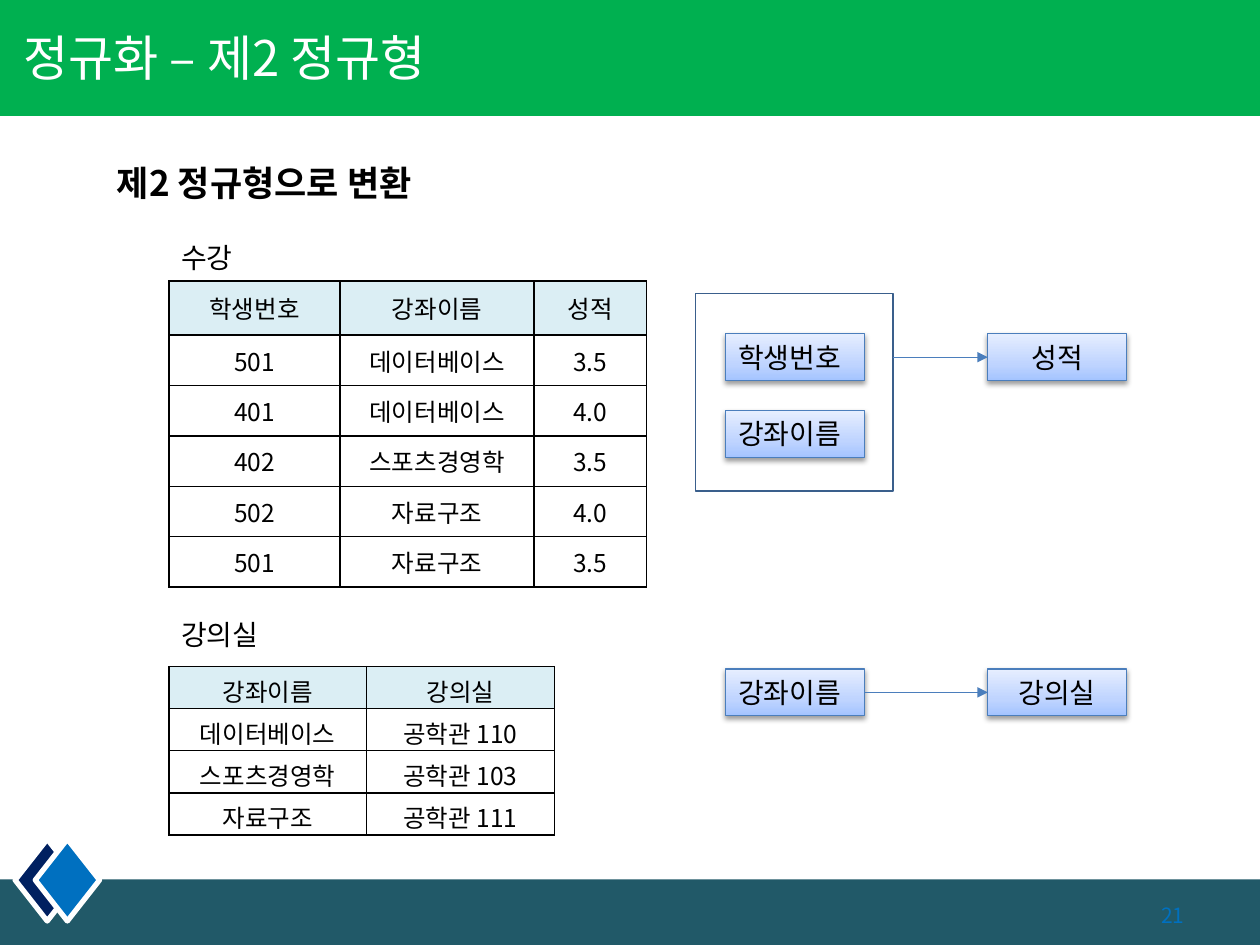
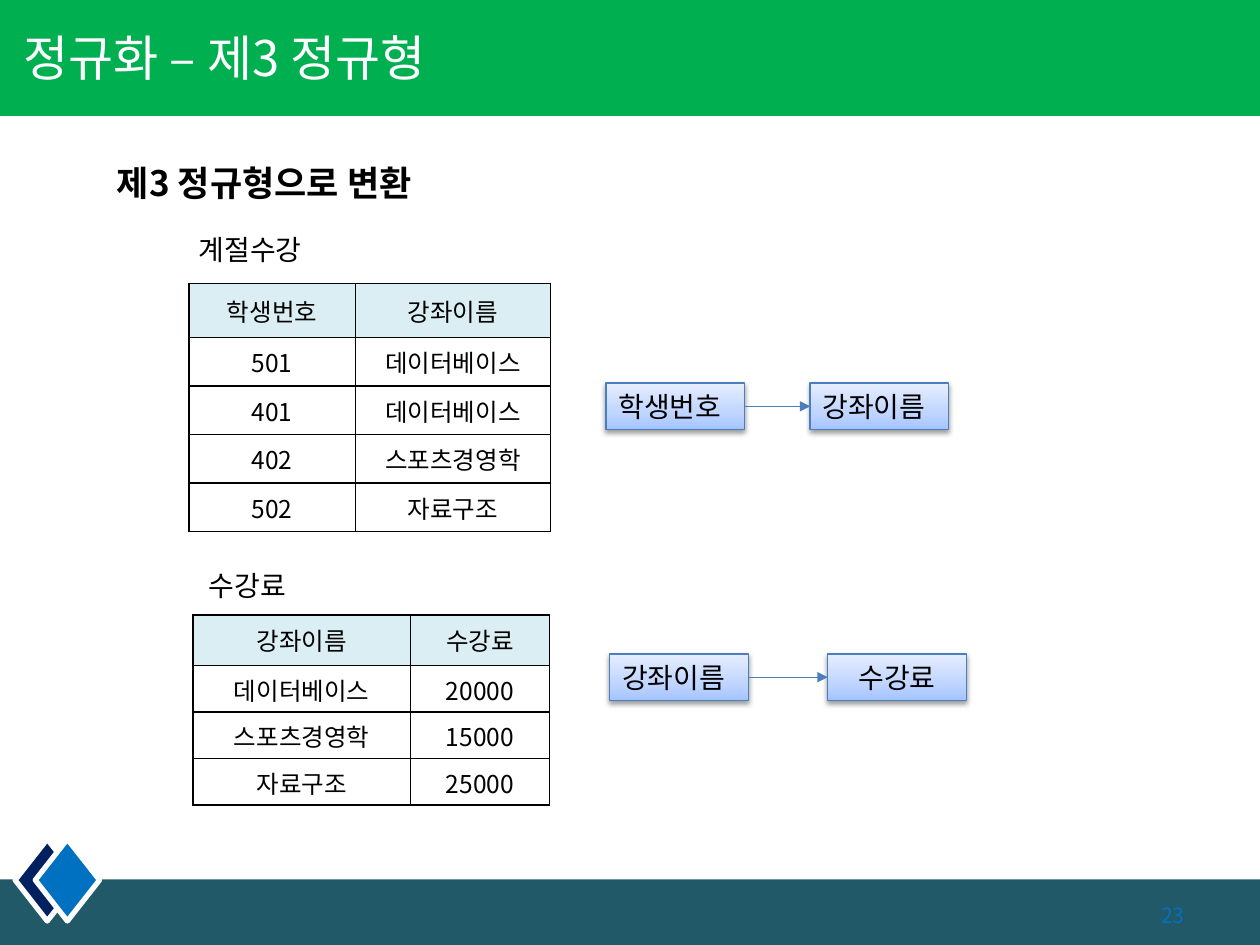
from dataclasses import dataclass
from typing import Optional

from pptx import Presentation
from pptx.dml.color import RGBColor
from pptx.enum.shapes import MSO_CONNECTOR, MSO_SHAPE
from pptx.enum.text import MSO_ANCHOR, MSO_AUTO_SIZE, PP_ALIGN
from pptx.oxml import parse_xml
from pptx.oxml.ns import nsdecls, qn
from pptx.util import Inches, Pt

RECTANGLE, DIAMOND = MSO_SHAPE.RECTANGLE, MSO_SHAPE.DIAMOND
STRAIGHT = MSO_CONNECTOR.STRAIGHT
LEFT, CENTER, RIGHT = PP_ALIGN.LEFT, PP_ALIGN.CENTER, PP_ALIGN.RIGHT
TOP, MIDDLE = MSO_ANCHOR.TOP, MSO_ANCHOR.MIDDLE
NO_FIT, GROW = MSO_AUTO_SIZE.NONE, MSO_AUTO_SIZE.SHAPE_TO_FIT_TEXT

TITLE_ONLY_LAYOUT = 5
NODE_WIDTH, NODE_HEIGHT = 1.1, 0.37


@dataclass(frozen=True)
class Theme:
    font: str = "Noto Sans CJK KR"
    text: str = "000000"
    white: str = "FFFFFF"
    title_band: str = "00B050"
    footer_band: str = "215968"
    navy: str = "002060"
    blue: str = "0070C0"
    header_fill: str = "DBEEF4"
    table_line: str = "000000"
    node_line: str = "4B7EBC"
    frame_line: str = "3A5F8C"
    node_stops: tuple = ((0, "A4C4FF"), (35, "BFD4FF"), (100, "E6EEFF"))
    title_size: int = 28
    heading_size: int = 20
    label_size: int = 16
    cell_size: int = 14
    number_size: int = 12


THEME = Theme()


@dataclass(frozen=True)
class Area:
    left: float
    top: float
    width: float
    height: float

    def emu(self) -> tuple:
        return tuple(Inches(v) for v in (self.left, self.top, self.width, self.height))


@dataclass(frozen=True)
class Relation:
    """A captioned table whose first row is the header."""
    caption: str
    caption_area: Area
    left: float
    top: float
    widths: tuple
    header_height: float
    row_height: float
    rows: tuple


@dataclass(frozen=True)
class Node:
    text: str
    left: float
    top: float
    alignment: PP_ALIGN = LEFT

    @property
    def area(self) -> Area:
        return Area(self.left, self.top, NODE_WIDTH, NODE_HEIGHT)


@dataclass(frozen=True)
class Dependency:
    """Attributes that determine a target, framed when there are several."""
    sources: tuple
    target: Node
    frame: Optional[Area] = None


@dataclass(frozen=True)
class Lesson:
    title: str
    heading: str
    number: int
    relations: tuple
    dependencies: tuple


LESSONS = (
    Lesson(
        "정규화 – 제2 정규형", "제2 정규형으로 변환", 21,
        (
            Relation("수강", Area(1.34, 1.86, 0.74, 0.37), 1.34, 2.23,
                     (1.36, 1.54, 0.89), 0.43, 0.4, (
                         ("학생번호", "강좌이름", "성적"),
                         ("501", "데이터베이스", "3.5"),
                         ("401", "데이터베이스", "4.0"),
                         ("402", "스포츠경영학", "3.5"),
                         ("502", "자료구조", "4.0"),
                         ("501", "자료구조", "3.5"))),
            Relation("강의실", Area(1.34, 4.85, 1.06, 0.37), 1.34, 5.29,
                     (1.57, 1.49), 0.3, 0.29, (
                         ("강좌이름", "강의실"),
                         ("데이터베이스", "공학관 110"),
                         ("스포츠경영학", "공학관 103"),
                         ("자료구조", "공학관 111"))),
        ),
        (
            Dependency((Node("학생번호", 5.76, 2.65), Node("강좌이름", 5.76, 3.26)),
                       Node("성적", 7.84, 2.65, CENTER), Area(5.52, 2.33, 1.57, 1.57)),
            Dependency((Node("강좌이름", 5.76, 5.31),), Node("강의실", 7.84, 5.31, CENTER)),
        ),
    ),
    Lesson(
        "정규화 – 제3 정규형", "제3 정규형으로 변환", 23,
        (
            Relation("계절수강", Area(1.48, 1.8, 1.31, 0.37), 1.5, 2.25,
                     (1.32, 1.55), 0.43, 0.385, (
                         ("학생번호", "강좌이름"),
                         ("501", "데이터베이스"),
                         ("401", "데이터베이스"),
                         ("402", "스포츠경영학"),
                         ("502", "자료구조"))),
            Relation("수강료", Area(1.56, 4.46, 1.31, 0.37), 1.53, 4.88,
                     (1.73, 1.1), 0.4, 0.37, (
                         ("강좌이름", "수강료"),
                         ("데이터베이스", "20000"),
                         ("스포츠경영학", "15000"),
                         ("자료구조", "25000"))),
        ),
        (
            Dependency((Node("학생번호", 4.81, 3.04),), Node("강좌이름", 6.43, 3.04)),
            Dependency((Node("강좌이름", 4.84, 5.19),), Node("수강료", 6.57, 5.19, CENTER)),
        ),
    ),
)


def rgb(colour: str) -> RGBColor:
    return RGBColor.from_string(colour)


def write(frame, text: str, size: int, colour: str = THEME.text, bold: bool = False,
          alignment: PP_ALIGN = LEFT) -> None:
    frame.text = text
    para = frame.paragraphs[0]
    para.alignment = alignment
    for span in para.runs:
        span.font.name = THEME.font
        span.font.size = Pt(size)
        span.font.bold = bold
        span.font.color.rgb = rgb(colour)
        for latin in list(para._p.iter(qn("a:latin"))):
            latin.addnext(parse_xml(f'<a:ea {nsdecls("a")} typeface="{THEME.font}"/>'))


def add_label(slide, area: Area, text: str, size: int, anchor: MSO_ANCHOR = TOP,
              fit: MSO_AUTO_SIZE = GROW, **style) -> None:
    frame = slide.shapes.add_textbox(*area.emu()).text_frame
    frame.word_wrap = True
    frame.auto_size = fit
    frame.vertical_anchor = anchor
    write(frame, text, size, **style)


def add_block(slide, kind: MSO_SHAPE, area: Area, fill: Optional[str] = None,
              line: Optional[str] = None, line_width: float = 1):
    shape = slide.shapes.add_shape(kind, *area.emu())
    shape.shadow.inherit = False
    if fill:
        shape.fill.solid()
        shape.fill.fore_color.rgb = rgb(fill)
    else:
        shape.fill.background()
    if line:
        shape.line.color.rgb = rgb(line)
        shape.line.width = Pt(line_width)
    else:
        shape.line.fill.background()
    return shape


def add_node(slide, node: Node) -> None:
    shape = add_block(slide, RECTANGLE, node.area, line=THEME.node_line, line_width=0.75)
    properties = shape.element.spPr
    stops = "".join(f'<a:gs pos="{pos * 1000}"><a:srgbClr val="{colour}"/></a:gs>'
                    for pos, colour in THEME.node_stops)
    properties.replace(properties.find(qn("a:noFill")), parse_xml(
        f'<a:gradFill {nsdecls("a")} rotWithShape="1"><a:gsLst>{stops}</a:gsLst>'
        '<a:lin ang="16200000" scaled="1"/></a:gradFill>'))
    properties.find(qn("a:effectLst")).append(parse_xml(
        f'<a:outerShdw {nsdecls("a")} blurRad="{Pt(3.1)}" dist="{Pt(1.6)}" dir="5400000" '
        'rotWithShape="0"><a:srgbClr val="000000"><a:alpha val="38000"/></a:srgbClr>'
        '</a:outerShdw>'))
    frame = shape.text_frame
    frame.word_wrap = True
    frame.auto_size = GROW
    frame.vertical_anchor = TOP
    write(frame, node.text, THEME.label_size, alignment=node.alignment)


def add_arrow(slide, start: float, end: float, y: float) -> None:
    arrow = slide.shapes.add_connector(STRAIGHT, Inches(start), Inches(y), Inches(end), Inches(y))
    arrow.line.color.rgb = rgb(THEME.node_line)
    arrow.line.width = Pt(0.75)
    properties = arrow.element.spPr
    properties.find(qn("a:ln")).append(parse_xml(f'<a:tailEnd {nsdecls("a")} type="triangle"/>'))
    properties.append(parse_xml(f'<a:effectLst {nsdecls("a")}/>'))


def add_dependency(slide, dependency: Dependency) -> None:
    target = dependency.target
    for node in (*dependency.sources, target):
        add_node(slide, node)
    if dependency.frame:
        add_block(slide, RECTANGLE, dependency.frame, line=THEME.frame_line)
    origin = dependency.frame or dependency.sources[0].area
    add_arrow(slide, origin.left + origin.width, target.left, target.top + NODE_HEIGHT / 2)


def format_cell(cell, text: str, is_header: bool) -> None:
    write(cell.text_frame, text, THEME.cell_size, alignment=CENTER)
    cell.vertical_anchor = MIDDLE
    if is_header:
        cell.fill.solid()
        cell.fill.fore_color.rgb = rgb(THEME.header_fill)
    else:
        cell.fill.background()
    properties = cell._tc.get_or_add_tcPr()
    for index, side in enumerate("LRTB"):
        properties.insert(index, parse_xml(
            f'<a:ln{side} {nsdecls("a")} w="{Pt(1)}"><a:solidFill>'
            f'<a:srgbClr val="{THEME.table_line}"/></a:solidFill></a:ln{side}>'))


def add_relation(slide, relation: Relation) -> None:
    add_label(slide, relation.caption_area, relation.caption, THEME.label_size)
    heights = [relation.header_height] + [relation.row_height] * (len(relation.rows) - 1)
    area = Area(relation.left, relation.top, sum(relation.widths), sum(heights))
    table = slide.shapes.add_table(len(heights), len(relation.widths), *area.emu()).table
    for column, width in zip(table.columns, relation.widths):
        column.width = Inches(width)
    for index, (height, texts) in enumerate(zip(heights, relation.rows)):
        table.rows[index].height = Inches(height)
        for cell, text in zip(table.rows[index].cells, texts):
            format_cell(cell, text, index == 0)


def set_up_layout(layout, slide) -> None:
    """Draw the bands and diamonds on a slide, then move them behind the layout's title."""
    shapes = [add_block(slide, RECTANGLE, Area(0, 6.98, 10, 0.52), THEME.footer_band)]
    for left, colour in ((0.12, THEME.navy), (0.28, THEME.blue)):
        shapes.append(add_block(slide, DIAMOND, Area(left, 6.66, 0.51, 0.65), colour,
                                THEME.white, 3))
    shapes.append(add_block(slide, RECTANGLE, Area(0, 0, 10, 0.92), THEME.title_band))
    for index, shape in enumerate(shapes):
        shape.element.nvSpPr.cNvPr.set("id", str(20 + index))
        layout.shapes.element.insert(2 + index, shape.element)
    title = layout.placeholders[0]
    title.left, title.top, title.width, title.height = Area(0, -0.02, 6.26, 0.94).emu()


def fill_slide(slide, lesson: Lesson) -> None:
    frame = slide.shapes.title.text_frame
    frame.auto_size = NO_FIT
    frame.vertical_anchor = MIDDLE
    frame.margin_left = Inches(0.19)
    write(frame, lesson.title, THEME.title_size, THEME.white)
    add_label(slide, Area(0.83, 1.23, 2.95, 0.44), lesson.heading, THEME.heading_size, bold=True)
    for relation in lesson.relations:
        add_relation(slide, relation)
    for dependency in lesson.dependencies:
        add_dependency(slide, dependency)
    add_label(slide, Area(7.17, 7.06, 2.33, 0.4), str(lesson.number), THEME.number_size,
              MIDDLE, NO_FIT, colour=THEME.blue, alignment=RIGHT)


def main() -> None:
    deck = Presentation()
    deck.slide_width, deck.slide_height = Inches(10), Inches(7.5)
    layout = deck.slide_layouts[TITLE_ONLY_LAYOUT]
    slides = [deck.slides.add_slide(layout) for _ in LESSONS]
    set_up_layout(layout, slides[0])
    for slide, lesson in zip(slides, LESSONS):
        fill_slide(slide, lesson)
    deck.save("out.pptx")


if __name__ == "__main__":
    main()
